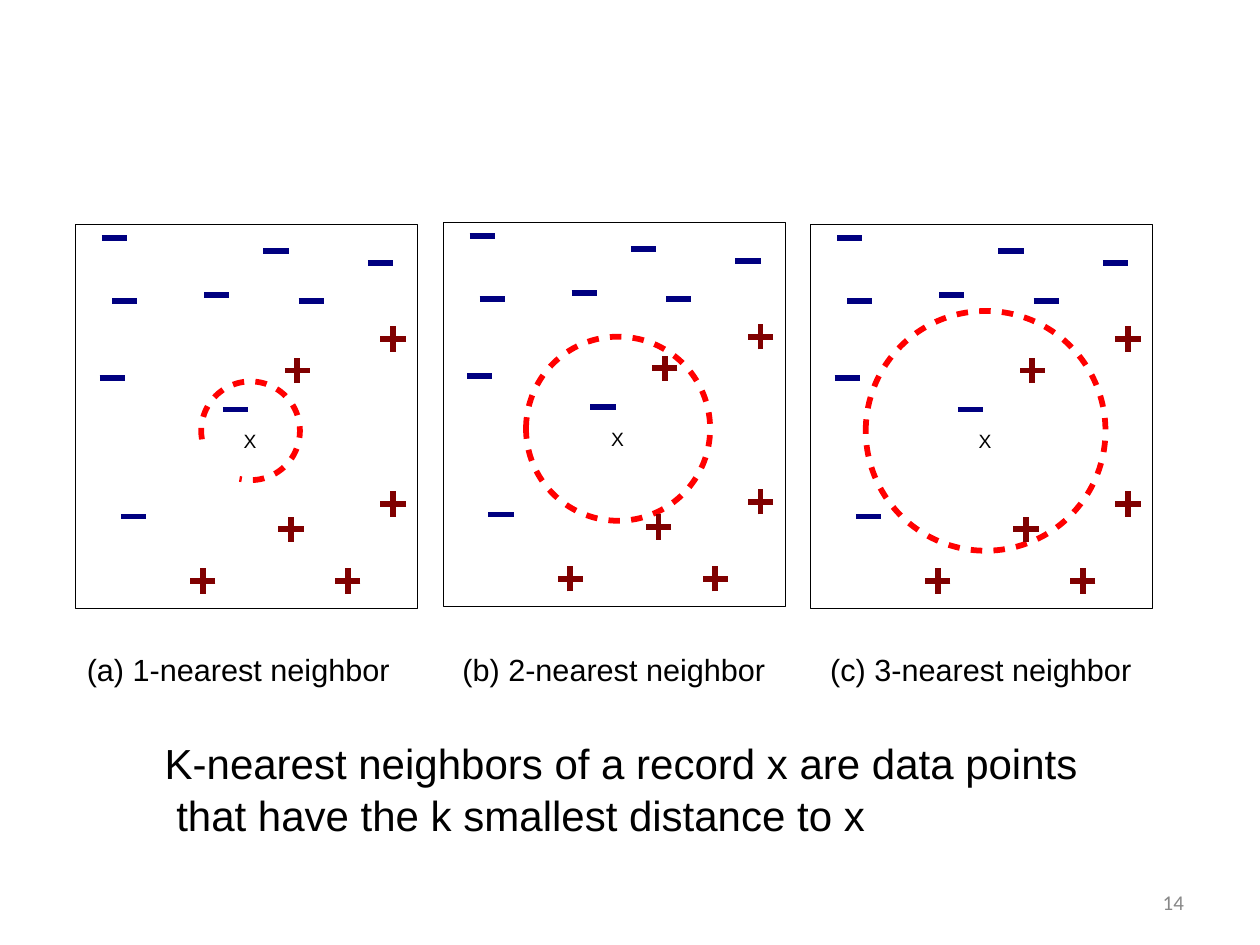
"""Build a slide comparing the 1-, 2- and 3-nearest neighbors of a record."""
from pptx import Presentation
from pptx.dml.color import RGBColor
from pptx.enum.shapes import MSO_CONNECTOR, MSO_SHAPE
from pptx.enum.text import MSO_ANCHOR, PP_ALIGN
from pptx.oxml.ns import qn
from pptx.util import Pt
from lxml import etree

STRAIGHT = MSO_CONNECTOR.STRAIGHT
RECTANGLE, OVAL, ARC = MSO_SHAPE.RECTANGLE, MSO_SHAPE.OVAL, MSO_SHAPE.ARC
TOP, CENTER = MSO_ANCHOR.TOP, PP_ALIGN.CENTER

BLACK, GRAY, RED, NAVY, MAROON = "000000", "888888", "FF0000", "000080", "800000"

CAPTIONS = ["(a) 1-nearest neighbor", "(b) 2-nearest neighbor", "(c) 3-nearest neighbor"]
CAPTION_TABS = [214.6, 424.8]
DEFINITION = ["K-nearest neighbors of a record x are data points ", " that have the k smallest distance to x"]

PANEL_LEFT, PANEL_PITCH = 43.2, 210
PANEL_WIDTH, PANEL_HEIGHT = 195.4, 219.6
PANELS = [
    {"top": 128.2, "diameter": 56.4, "arc": (170, 103)},
    {"top": 127, "diameter": 105.2, "arc": None},
    {"top": 128.2, "diameter": 137, "arc": None},
]
RECORD = (100, 118)
MARK_SIZE, MARK_WEIGHT = 14.4, 3.28
MINUSES = [(84.2, 105.8), (167, 22.3), (73.4, 40.3), (25.9, 167), (13.7, 87.8),
           (20.9, 43.9), (15.1, 7.9), (127.4, 43.9), (107.3, 15.1)]
PLUSES = [(115.9, 167), (65.5, 196.6), (148.3, 196.6), (174.2, 152.6),
          (119.5, 76.3), (174.2, 58.3)]


def color(value):
    return RGBColor.from_string(value)


def set_outline(shape, value, weight):
    shape.line.color.rgb = color(value)
    shape.line.width = Pt(weight)


def add_outline_shape(slide, kind, left, top, width, height, value, weight):
    shape = slide.shapes.add_shape(kind, Pt(left), Pt(top), Pt(width), Pt(height))
    shape.shadow.inherit = False
    shape.fill.background()
    set_outline(shape, value, weight)
    return shape


def add_run(paragraph, text, size, font="Arial", value=BLACK):
    run = paragraph.add_run()
    run.text = text
    run.font.size, run.font.name = Pt(size), font
    run.font.color.rgb = color(value)


def set_frame(frame, left=0, top=0):
    frame.word_wrap = True
    frame.vertical_anchor = TOP
    frame.margin_left, frame.margin_top = Pt(left), Pt(top)
    frame.margin_right = frame.margin_bottom = 0
    return frame


def add_text_box(slide, left, top, width, height):
    box = slide.shapes.add_textbox(Pt(left), Pt(top), Pt(width), Pt(height))
    return set_frame(box.text_frame)


def add_neighborhood(slide, left, top, diameter, arc):
    x, y = left + RECORD[0] - diameter / 2, top + RECORD[1] - diameter / 2
    circle = add_outline_shape(slide, ARC if arc else OVAL, x, y, diameter, diameter,
                               RED, MARK_WEIGHT)
    for index, degrees in enumerate(arc or ()):
        circle.adjustments[index] = degrees * 0.6
    outline = circle._element.spPr.find(qn("a:ln"))
    dashes = etree.SubElement(outline, qn("a:custDash"))
    etree.SubElement(dashes, qn("a:ds"), d="200000", sp="195000")


def add_minus(slide, x, y):
    minus = slide.shapes.add_connector(STRAIGHT, Pt(x), Pt(y), Pt(x + MARK_SIZE), Pt(y))
    set_outline(minus, NAVY, MARK_WEIGHT)
    etree.SubElement(minus._element.spPr, qn("a:effectLst"))


def add_plus(slide, x, y):
    half = MARK_SIZE / 2
    builder = slide.shapes.build_freeform(Pt(x + MARK_SIZE), Pt(y + half))
    builder.add_line_segments([(Pt(x), Pt(y + half))], close=False)
    builder.move_to(Pt(x + half), Pt(y + MARK_SIZE))
    builder.add_line_segments([(Pt(x + half), Pt(y))], close=False)
    plus = builder.convert_to_shape()
    plus.shadow.inherit = False
    plus.fill.background()
    set_outline(plus, MAROON, MARK_WEIGHT)


def add_panel(slide, left, top, diameter, arc):
    add_neighborhood(slide, left, top, diameter, arc)
    panel = add_outline_shape(slide, RECTANGLE, left, top, PANEL_WIDTH, PANEL_HEIGHT, BLACK, 0.25)
    paragraph = set_frame(panel.text_frame, 4, 117).paragraphs[0]
    paragraph.alignment = CENTER
    add_run(paragraph, "X", 11)
    for x, y in MINUSES:
        add_minus(slide, left + x, top + y)
    for x, y in PLUSES:
        add_plus(slide, left + x, top + y)


def add_explanation(slide):
    frame = add_text_box(slide, 49.6, 371.8, 600, 105)
    captions = frame.paragraphs[0]
    tabs = etree.SubElement(captions._p.get_or_add_pPr(), qn("a:tabLst"))
    for position in CAPTION_TABS:
        etree.SubElement(tabs, qn("a:tab"), pos=str(Pt(position)), algn="l")
    add_run(captions, "\t".join(CAPTIONS), 17.5)

    definition = frame.add_paragraph()
    definition._p.get_or_add_pPr().set("marL", str(Pt(44.5)))
    definition.space_before = Pt(27)
    definition.line_spacing = 1.05
    add_run(definition, DEFINITION[0], 24)
    definition.add_line_break()
    add_run(definition, DEFINITION[1], 24)


def main():
    presentation = Presentation()
    presentation.slide_width, presentation.slide_height = Pt(720), Pt(540)
    slide = presentation.slides.add_slide(presentation.slide_layouts[6])
    for index, panel in enumerate(PANELS):
        add_panel(slide, PANEL_LEFT + index * PANEL_PITCH, **panel)
    add_explanation(slide)
    page_number = add_text_box(slide, 664.4, 508.2, 18, 14)
    add_run(page_number.paragraphs[0], "14", 12, "Calibri", GRAY)
    presentation.save("out.pptx")


if __name__ == "__main__":
    main()
